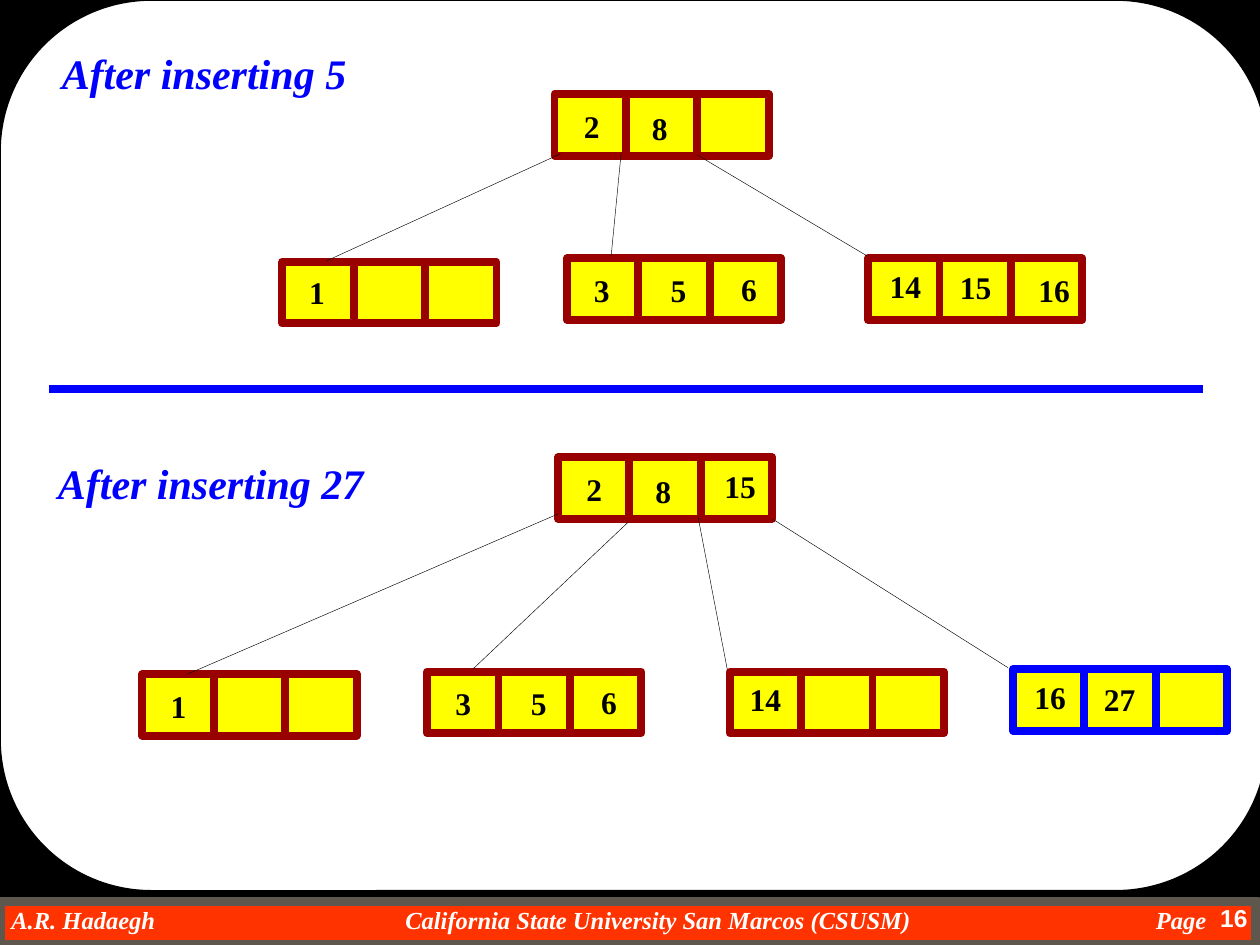
from typing import NamedTuple

from lxml import etree
from pptx import Presentation
from pptx.dml.color import RGBColor
from pptx.enum.shapes import MSO_CONNECTOR, MSO_SHAPE
from pptx.enum.text import MSO_ANCHOR, PP_ALIGN
from pptx.oxml.ns import qn
from pptx.util import Cm, Pt

RECT = MSO_SHAPE.RECTANGLE
ROUND = MSO_SHAPE.ROUNDED_RECTANGLE
LINE = MSO_CONNECTOR.STRAIGHT
LEFT, MID, RIGHT = PP_ALIGN.LEFT, PP_ALIGN.CENTER, PP_ALIGN.RIGHT
TOP = MSO_ANCHOR.TOP

HUES = {
    "black": "000000", "white": "FFFFFF", "blue": "0000FF", "red": "990000",
    "yellow": "FFFF00", "orange": "FF3300", "grey": "5E574E",
}
SERIF = "Times New Roman"
HEAD = {"name": SERIF, "size": Pt(24), "bold": True, "italic": True}
KEY = {"name": SERIF, "size": Pt(18), "bold": True, "italic": False}
FOOT = {"name": SERIF, "size": Pt(14), "bold": True, "italic": True}
PAGE = {"name": "Arial", "size": Pt(14), "bold": True, "italic": False}
CELL_W, CELL_H = 1.44, 1.24


class Box(NamedTuple):
    x: float
    y: float
    w: float
    h: float


class Key(NamedTuple):
    text: str
    x: float
    y: float


class Node(NamedTuple):
    x: float
    y: float
    keys: tuple[Key, ...]
    edge: str = "red"


class Link(NamedTuple):
    x1: float
    y1: float
    x2: float
    y2: float
    hue: str = "black"
    width: float = 0.25


class Foot(NamedTuple):
    text: str
    box: Box
    align: PP_ALIGN


NODES = [
    Node(11.18, 1.9, (Key("2", 11.51, 2.03), Key("8", 12.88, 2.08))),
    Node(5.69, 5.28, (Key("1", 5.97, 5.38),)),
    Node(11.43, 5.21, (Key("3", 11.71, 5.33), Key("5", 13.26, 5.33), Key("6", 14.68, 5.31))),
    Node(17.5, 5.21, (Key("14", 17.68, 5.26), Key("15", 19.1, 5.28), Key("16", 20.68, 5.33))),
    Node(11.25, 9.22, (Key("2", 11.56, 9.35), Key("8", 12.95, 9.4), Key("15", 14.35, 9.3))),
    Node(2.87, 13.59, (Key("1", 3.18, 13.72),)),
    Node(8.61, 13.54, (Key("3", 8.92, 13.67), Key("5", 10.44, 13.67), Key("6", 11.86, 13.64))),
    Node(14.71, 13.54, (Key("14", 14.86, 13.59),)),
    Node(20.42, 13.49, (Key("16", 20.6, 13.54), Key("27", 22, 13.59)), "blue"),
]
LINKS = [
    Link(11.3, 3.1, 6.58, 5.26),
    Link(12.52, 3.1, 12.32, 5.16),
    Link(14.05, 3.12, 17.48, 5.16),
    Link(0.99, 7.85, 24.26, 7.85, "blue", 4.5),
    Link(11.25, 10.36, 3.78, 13.59),
    Link(12.67, 10.52, 9.53, 13.49),
    Link(14.07, 10.41, 14.66, 13.49),
    Link(15.57, 10.46, 20.32, 13.46),
]
FEET = [
    Foot("A.R. Hadaegh", Box(0.23, 18.24, 5, 0.58), LEFT),
    Foot("California State University San Marcos (CSUSM)", Box(7.27, 18.24, 12, 0.58), MID),
    Foot("Page", Box(21.3, 18.24, 3.02, 0.58), RIGHT),
]


def tint(name: str) -> RGBColor:
    return RGBColor.from_string(HUES[name])


def place(shape, box: Box) -> None:
    for side, size in zip(("left", "top", "width", "height"), box):
        setattr(shape, side, Cm(size))


def write(shape, text: str, style: dict, hue: str, align=MID, pad: bool = True) -> None:
    frame = shape.text_frame
    frame.word_wrap = False
    frame.vertical_anchor = TOP
    if not pad:
        for side in ("left", "right", "top", "bottom"):
            setattr(frame, f"margin_{side}", 0)
    para = frame.paragraphs[0]
    para.alignment = align
    run = para.add_run()
    run.text = text
    for attr, value in style.items():
        setattr(run.font, attr, value)
    run.font.color.rgb = tint(hue)


def add_text(slide, text: str, box: Box, style: dict, hue: str, align=MID, pad: bool = True) -> None:
    shape = slide.shapes.add_textbox(*map(Cm, box))
    write(shape, text, style, hue, align, pad)


def add_box(slide, kind: MSO_SHAPE, box: Box, fill: str, edge: str, width: float):
    shape = slide.shapes.add_shape(kind, *map(Cm, box))
    shape.shadow.inherit = False
    shape.fill.solid()
    shape.fill.fore_color.rgb = tint(fill)
    shape.line.color.rgb = tint(edge)
    shape.line.width = Pt(width)
    return shape


def add_node(slide, node: Node) -> None:
    for col in range(3):
        box = Box(node.x + col * CELL_W, node.y, CELL_W, CELL_H)
        add_box(slide, RECT, box, "yellow", node.edge, 4.5)
    for key in node.keys:
        wide = 0.84 if len(key.text) == 1 else 1.14
        add_text(slide, key.text, Box(key.x, key.y, wide, 1.02), KEY, "black")


def add_link(slide, link: Link) -> None:
    line = slide.shapes.add_connector(LINE, *map(Cm, link[:4]))
    line.line.color.rgb = tint(link.hue)
    line.line.width = Pt(link.width)
    etree.SubElement(line._element.spPr, qn("a:effectLst"))


deck = Presentation()
deck.slide_width, deck.slide_height = Cm(25.4), Cm(19.05)
slide = deck.slides.add_slide(deck.slide_layouts[5])
slide.background.fill.solid()
slide.background.fill.fore_color.rgb = tint("black")

add_box(slide, RECT, Box(0, 18.16, 25.32, 0.89), "orange", "grey", 6)
for foot in FEET:
    add_text(slide, foot.text, foot.box, FOOT, "white", foot.align, False)
back = add_box(slide, RECT, Box(0, 0.03, 25.4, 18.05), "black", "black", 0)
back.line.fill.background()
panel = add_box(slide, ROUND, Box(0, 0, 25.55, 17.96), "white", "black", 1)
panel.adjustments[0] = 0.17
add_text(slide, "16", Box(23.5, 18.08, 1.9, 0.97), PAGE, "white", RIGHT)

title = slide.shapes.title
place(title, Box(0.99, 0.84, 6.25, 1.27))
write(title, "After inserting 5", HEAD, "blue")
slide.shapes._spTree.append(title._element)
add_text(slide, "After inserting 27", Box(0.91, 9.09, 6.68, 1.27), HEAD, "blue")

for node in NODES:
    add_node(slide, node)
for link in LINKS:
    add_link(slide, link)

deck.save("out.pptx")
